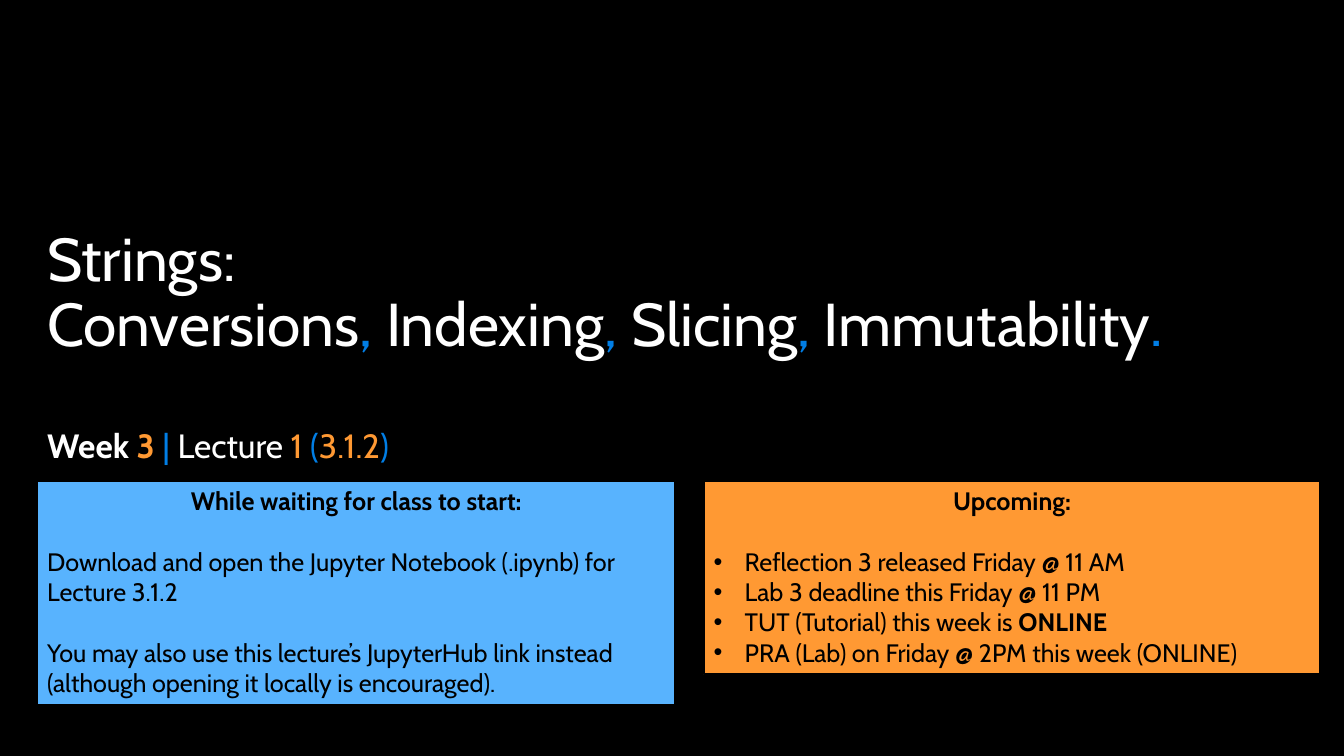
from lxml import etree
from pptx import Presentation
from pptx.dml.color import RGBColor
from pptx.enum.shapes import MSO_SHAPE
from pptx.enum.text import MSO_ANCHOR, PP_ALIGN
from pptx.oxml.ns import qn
from pptx.util import Inches, Pt

RECTANGLE = MSO_SHAPE.RECTANGLE
TOP, BOTTOM = MSO_ANCHOR.TOP, MSO_ANCHOR.BOTTOM
LEFT, CENTER = PP_ALIGN.LEFT, PP_ALIGN.CENTER

FONT = "Cabin"
BLACK, WHITE = "000000", "FFFFFF"
BLUE, ORANGE, SKY = "017EE5", "FF9933", "58B3FE"
MARGIN = 0.37
HEADING_WIDTH = 12.46
PANEL_TOP = 4.77
BLANK_LINE = 21.6
BULLET_INDENT = 0.31


def color(value):
    return RGBColor.from_string(value)


def style(para, size, ink):
    para.font.name = FONT
    para.font.size = Pt(size)
    para.font.color.rgb = color(ink)


def add_spans(para, spans):
    """Add (text, colour, bold) spans; None keeps the paragraph's setting."""
    for text, ink, bold in spans:
        span = para.add_run()
        span.text = text
        span.font.bold = bold
        if ink:
            span.font.color.rgb = color(ink)


def add_bullet(para):
    properties = para._p.get_or_add_pPr()
    properties.set("marL", str(Inches(BULLET_INDENT)))
    properties.set("indent", str(-Inches(BULLET_INDENT)))
    etree.SubElement(properties, qn("a:buFont"), typeface="Arial")
    etree.SubElement(properties, qn("a:buChar"), char="•")


def add_heading(page, top, height, size, anchor):
    """Add a full-width text box and return its styled first paragraph."""
    box = page.shapes.add_textbox(
        Inches(MARGIN), Inches(top), Inches(HEADING_WIDTH), Inches(height))
    box.text_frame.word_wrap = True
    box.text_frame.vertical_anchor = anchor
    para = box.text_frame.paragraphs[0]
    para.line_spacing = 0.9
    style(para, size, WHITE)
    return para


def add_title(page, first_line, topics):
    para = add_heading(page, 2.64, 0.98, 43.2, BOTTOM)
    add_spans(para, [(first_line, None, None)])
    para.add_line_break()
    for index, topic in enumerate(topics):
        mark = "." if index == len(topics) - 1 else ","
        lead = " " if index else ""
        add_spans(para, [(lead + topic, None, None), (mark, BLUE, None)])


def add_subtitle(page, spans):
    add_spans(add_heading(page, 4.21, 0.5, 24, TOP), spans)


def add_panel(page, left, width, height, fill, heading, items, bulleted):
    """Add a notice; every item is a list of (text, bold) spans."""
    panel = page.shapes.add_shape(
        RECTANGLE, Inches(left), Inches(PANEL_TOP), Inches(width), Inches(height))
    panel.shadow.inherit = False
    panel.fill.solid()
    panel.fill.fore_color.rgb = color(fill)
    panel.line.color.rgb = color(BLACK)
    panel.line.width = Pt(1.5)
    frame = panel.text_frame
    frame.word_wrap = True
    frame.vertical_anchor = TOP

    title = frame.paragraphs[0]
    title.alignment = CENTER
    style(title, 18, BLACK)
    add_spans(title, [(heading, None, True)])
    for index, item in enumerate(items):
        para = frame.add_paragraph()
        para.alignment = LEFT
        if index == 0 or not bulleted:
            para.space_before = Pt(BLANK_LINE)
        if bulleted:
            add_bullet(para)
        style(para, 18, BLACK)
        add_spans(para, [(text, None, bold) for text, bold in item])


def main():
    deck = Presentation()
    deck.slide_width, deck.slide_height = Inches(13.333), Inches(7.5)
    page = deck.slides.add_slide(deck.slide_layouts[6])
    page.background.fill.solid()
    page.background.fill.fore_color.rgb = color(BLACK)

    add_title(page, "Strings:", ["Conversions", "Indexing", "Slicing", "Immutability"])
    add_subtitle(page, [
        ("Week ", None, True), ("3 ", ORANGE, True), ("|", BLUE, False),
        (" Lecture ", None, False), ("1 ", ORANGE, False), ("(", BLUE, False),
        ("3.1.2", ORANGE, False), (")", BLUE, False)])
    add_panel(page, 6.98, 6.12, 1.92, ORANGE, "Upcoming:", [
        [("Reflection 3 released Friday @ 11 AM", False)],
        [("Lab 3 deadline this Friday @ 11 PM", False)],
        [("TUT (Tutorial) this week is ", False), ("ONLINE", True)],
        [("PRA (Lab) on Friday @ 2PM this week (ONLINE)", False)],
    ], bulleted=True)
    add_panel(page, MARGIN, 6.33, 2.22, SKY, "While waiting for class to start:", [
        [("Download and open the Jupyter Notebook (.ipynb) for Lecture 3.1.2", False)],
        [("You may also use this lecture’s JupyterHub link instead "
          "(although opening it locally is encouraged).", False)],
    ], bulleted=False)
    deck.save("out.pptx")


if __name__ == "__main__":
    main()
